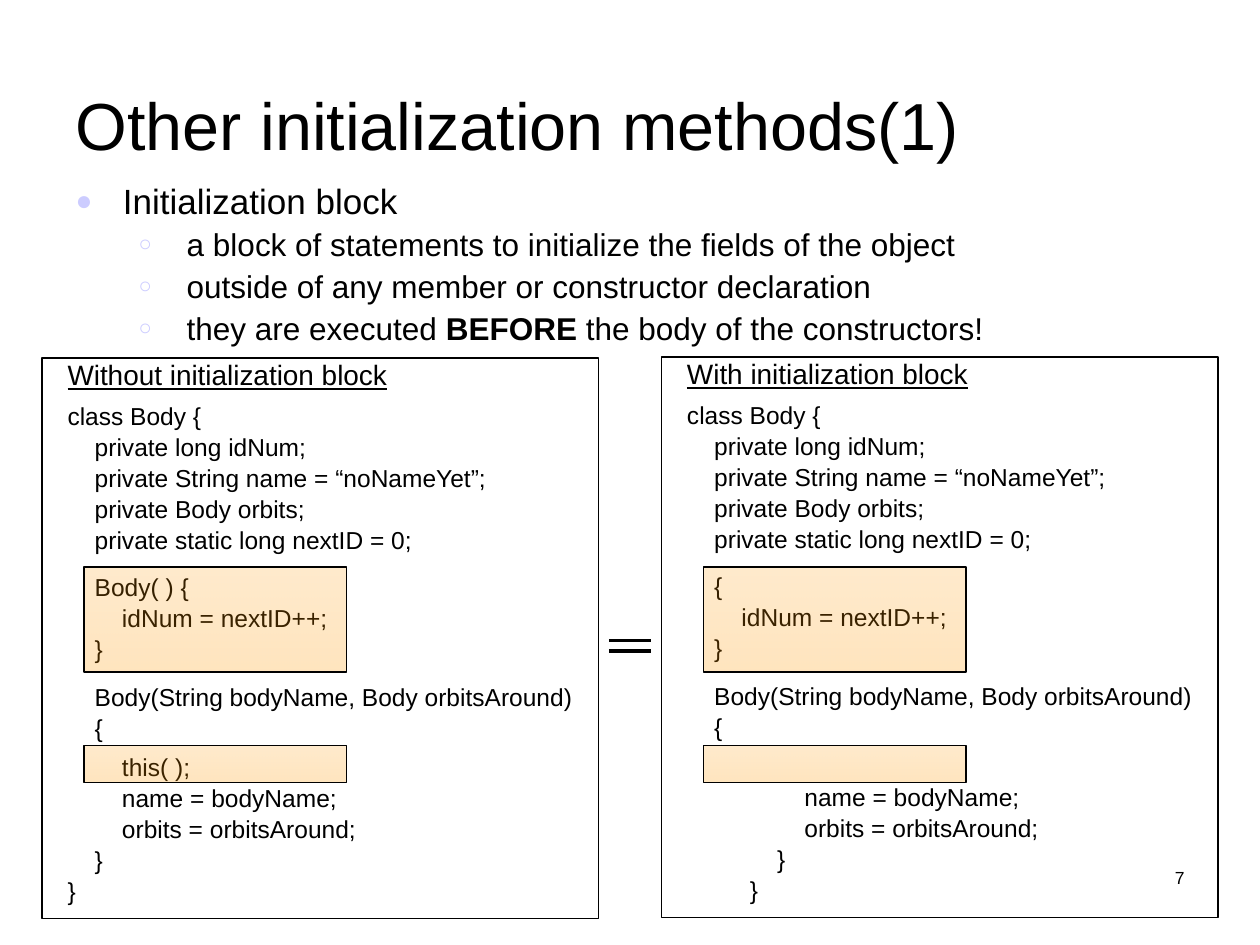
"""Build a slide comparing Java classes with and without an initialization block."""
from lxml import etree
from pptx import Presentation
from pptx import util as u
from pptx.dml.color import RGBColor
from pptx.enum import shapes, text
from pptx.oxml.ns import qn

BLACK = RGBColor(0x00, 0x00, 0x00)
ORANGE = RGBColor(0xFF, 0x99, 0x00)
LAVENDER = RGBColor(0xCC, 0xCC, 0xFF)
FONT = "Arial"
STEP = 15.56
LINE_GAP, SMALL_GAP, BLOCK_GAP, EMPTY_LINE_GAP = 0.9, 5.2, 10.5, 23


def style(para, size, before=0, margin=0, indent=0):
    para.font.name = FONT
    para.font.size = u.Pt(size)
    para.font.color.rgb = BLACK
    para.space_before = u.Pt(before)
    props = para._p.get_or_add_pPr()
    props.set("marL", str(u.Pt(margin)))
    props.set("indent", str(u.Pt(indent)))
    return props


def add_outline(page, left, top, width, height):
    box = page.shapes.add_shape(shapes.MSO_SHAPE.RECTANGLE,
                                u.Pt(left), u.Pt(top), u.Pt(width), u.Pt(height))
    box.shadow.inherit = False
    box.fill.background()
    box.line.color.rgb = BLACK
    box.line.width = u.Pt(0.75)
    return box


deck = Presentation()
deck.slide_width, deck.slide_height = u.Pt(720), u.Pt(540)
page = deck.slides.add_slide(deck.slide_layouts[1])

title = page.shapes.title
title.left, title.top, title.width, title.height = u.Pt(36), u.Pt(44.3), u.Pt(648), u.Pt(53.28)
title.text_frame.text = "Other initialization methods(1)"
title.text_frame.vertical_anchor = text.MSO_ANCHOR.MIDDLE
title.text_frame.auto_size = text.MSO_AUTO_SIZE.NONE
title.text_frame.paragraphs[0].alignment = text.PP_ALIGN.LEFT
style(title.text_frame.paragraphs[0], 38)

body = page.placeholders[1]
body.left, body.top, body.width, body.height = u.Pt(36), u.Pt(99), u.Pt(648), u.Pt(102.96)
body.text_frame.auto_size = text.MSO_AUTO_SIZE.NONE
bullets = [
    (0, ["Initialization block"]),
    (1, [" a block of statements to initialize the fields of the object"]),
    (1, [" outside of any member or constructor declaration"]),
    (1, [" they are executed ", "BEFORE", " the body of the constructors!"]),
]
bullet_styles = [(20, 5, 27, -27, "●", 80000), (18, 2.2, 58.5, -22.5, "○", 70000)]
for number, (level, parts) in enumerate(bullets):
    para = body.text_frame.paragraphs[0] if number == 0 else body.text_frame.add_paragraph()
    para.level = level
    for part in parts:
        span = para.add_run()
        span.text = part
        if part == "BEFORE":
            span.font.bold = True
    size, before, margin, indent, mark, scale = bullet_styles[level]
    props = style(para, size, before, margin, indent)
    colour = etree.SubElement(props, qn("a:buClr"))
    etree.SubElement(colour, qn("a:srgbClr"), val=str(LAVENDER))
    etree.SubElement(props, qn("a:buSzPct"), val=str(scale))
    etree.SubElement(props, qn("a:buFont"), typeface=FONT)
    etree.SubElement(props, qn("a:buChar"), char=mark)

fields = [
    ("class Body {", 0, SMALL_GAP),
    ("private long idNum;", 1, LINE_GAP),
    ("private String name = “noNameYet”;", 1, LINE_GAP),
    ("private Body orbits;", 1, LINE_GAP),
    ("private static long nextID = 0;", 1, LINE_GAP),
]
constructor = [
    ("idNum = nextID++;", 2, LINE_GAP),
    ("}", 1, LINE_GAP),
    ("Body(String bodyName, Body orbitsAround)", 1, BLOCK_GAP),
    ("{", 1, LINE_GAP),
]
ending = [("orbits = orbitsAround;", 2), ("}", 1), ("}", 0)]
panels = [
    (24, 204.5, "Without initialization block", "Body( ) {",
     [("this( );", 2, SMALL_GAP), ("name = bodyName;", 2, LINE_GAP)], 0),
    (378, 204, "With initialization block", "{",
     [("name = bodyName;", 2, EMPTY_LINE_GAP)], 36),
]
for left, top, heading, opening, assignments, shift in panels:
    panel = add_outline(page, left, top, 318, 320.4)
    frame = panel.text_frame
    frame.word_wrap = True
    frame.vertical_anchor = text.MSO_ANCHOR.TOP
    frame.margin_left, frame.margin_right = u.Pt(14.6), u.Pt(0)
    frame.margin_top, frame.margin_bottom = u.Pt(0), u.Pt(7.2)
    frame.text = heading
    frame.paragraphs[0].alignment = text.PP_ALIGN.LEFT
    frame.paragraphs[0].font.underline = True
    style(frame.paragraphs[0], 16)

    code = [(line, depth * STEP, gap)
            for line, depth, gap in fields + [(opening, 1, BLOCK_GAP)] + constructor]
    code += [(line, depth * STEP + shift, gap) for line, depth, gap in assignments]
    code += [(line, depth * STEP + shift, LINE_GAP) for line, depth in ending]
    for line, margin, gap in code:
        para = frame.add_paragraph()
        para.text = line
        para.alignment = text.PP_ALIGN.LEFT
        style(para, 14, gap, margin)

for left in (48, 402):
    for top, height in ((324, 60), (426, 21)):
        highlight = add_outline(page, left, top, 150, height)
        highlight.fill.gradient()
        highlight.fill.gradient_angle = 270
        for position, stop in enumerate(highlight.fill.gradient_stops):
            stop.position = position
            stop.color.rgb = ORANGE
        gradient = highlight._element.spPr.find(qn("a:gradFill"))
        for tint, opacity in zip(gradient.iter(qn("a:srgbClr")), (20000, 26000)):
            etree.SubElement(tint, qn("a:alpha"), val=str(opacity))

equals_sign = page.shapes.add_group_shape()
for height in (372, 366):
    bar = equals_sign.shapes.add_connector(shapes.MSO_CONNECTOR.STRAIGHT,
                                           u.Pt(348), u.Pt(height), u.Pt(372), u.Pt(height))
    bar.line.color.rgb = BLACK
    bar.line.width = u.Pt(2)
    etree.SubElement(bar._element.spPr, qn("a:effectLst"))

page_number = page.shapes.add_textbox(u.Pt(516), u.Pt(492), u.Pt(168), u.Pt(36))
page_number.text_frame.word_wrap = True
page_number.text_frame.text = "7"
page_number.text_frame.paragraphs[0].alignment = text.PP_ALIGN.RIGHT
style(page_number.text_frame.paragraphs[0], 10)

deck.save("out.pptx")
